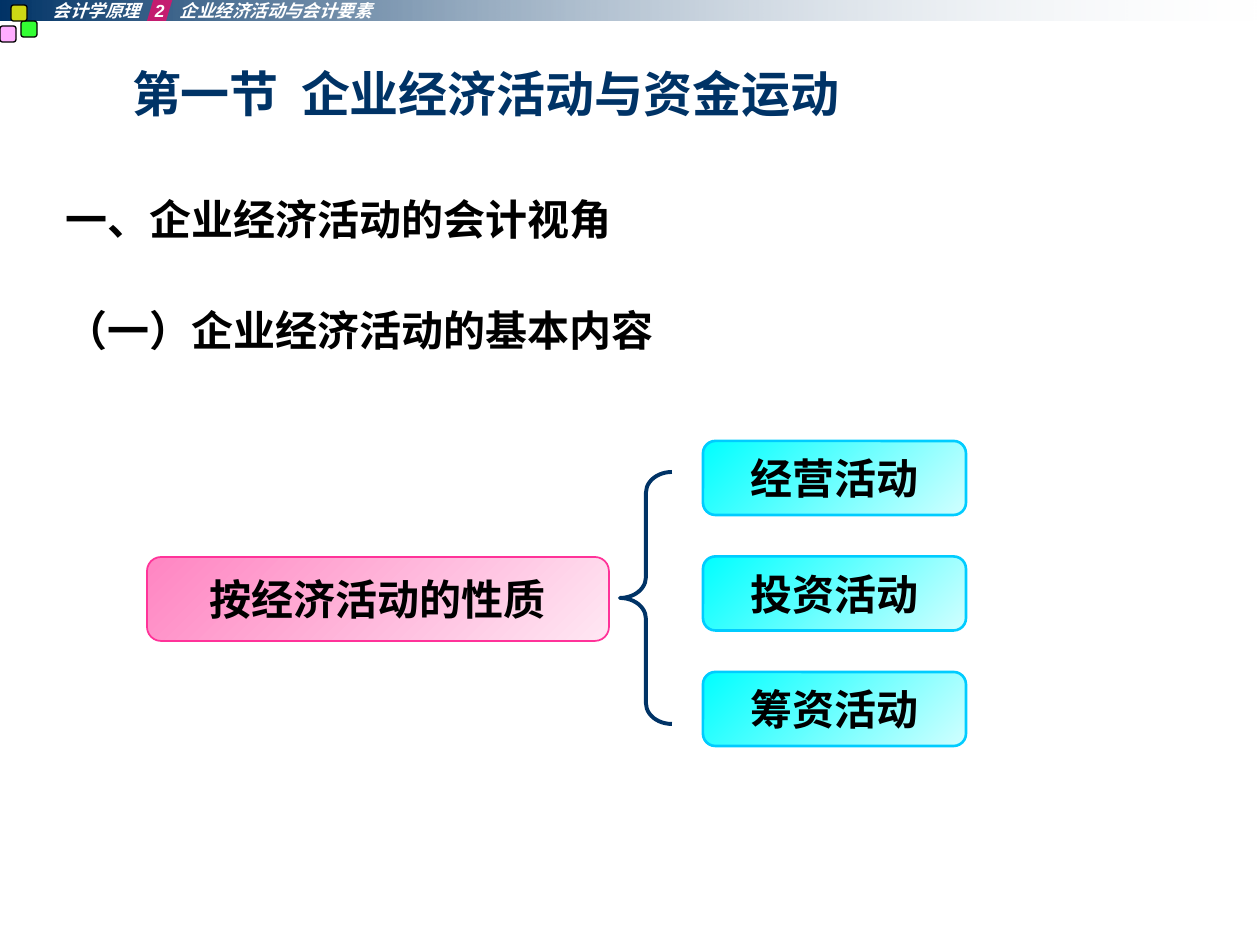
from pptx import Presentation
from pptx import util as u
from pptx.dml.color import RGBColor
from pptx.enum import shapes, text
from pptx.oxml.ns import qn
from lxml import etree

# Content
TITLE = "第一节\t企业经济活动与资金运动"
HEADINGS = ["一、企业经济活动的会计视角", "（一）企业经济活动的基本内容"]
RUNNING_HEAD = "会计学原理\t2\t企业经济活动与会计要素"
BASIS = "按经济活动的性质"
ACTIVITIES = ["经营活动", "投资活动", "筹资活动"]
SQUARES = [(0, 26, "pink"), (21, 21, "green"), (11, 5, "yellow")]

COLORS = {
    "navy": "003366", "mist": "E7ECF1", "black": "000000", "white": "FFFFFF",
    "pink": "FF99FF", "green": "00FF00", "yellow": "FFFF00", "magenta": "FF0066",
    "cyan": "00FFFF", "pale_cyan": "D1FFFF", "cyan_line": "00CCFF",
    "rose": "FF85C2", "pale_rose": "FFE7F3", "rose_line": "FF3399",
}
LATIN, CJK = "Arial", "Noto Sans CJK SC"
SCALE = u.Inches(1) / 126
KIND = shapes.MSO_SHAPE


def px(value):
    return u.Emu(round(value * SCALE))


def rgb(name):
    return RGBColor.from_string(COLORS[name])


def set_alpha(color_parent, percent):
    color = color_parent.find(".//" + qn("a:srgbClr"))
    etree.SubElement(color, qn("a:alpha"), val=str(percent * 1000))


def add_shape(kind, left, top, width, height, line=None, weight=1):
    shape = page.shapes.add_shape(kind, px(left), px(top), px(width), px(height))
    shape.shadow.inherit = False
    if line:
        shape.line.color.rgb = rgb(line)
        shape.line.width = u.Pt(weight)
    else:
        shape.line.fill.background()
    return shape


def fill_solid(shape, color, alpha):
    shape.fill.solid()
    shape.fill.fore_color.rgb = rgb(color)
    set_alpha(shape.fill._xPr.find(qn("a:solidFill")), alpha)


def fill_gradient(shape, colors, angle):
    shape.fill.gradient()
    shape.fill.gradient_angle = angle
    for stop, position, color in zip(shape.fill.gradient_stops, (0, 1), colors):
        stop.position = position
        stop.color.rgb = rgb(color)


def prepare_frame(shape, anchor, wrap=True):
    frame = shape.text_frame
    frame.margin_left = frame.margin_right = 0
    frame.margin_top = frame.margin_bottom = 0
    frame.vertical_anchor = anchor
    frame.auto_size = text.MSO_AUTO_SIZE.NONE
    frame.word_wrap = wrap
    return frame


def write(para, content, size, color, align=text.PP_ALIGN.LEFT, tabs=(),
          latin=LATIN, italic=False):
    para.alignment = align
    if tabs:
        tab_list = etree.SubElement(para._p.get_or_add_pPr(), qn("a:tabLst"))
        for stop in tabs:
            etree.SubElement(tab_list, qn("a:tab"), pos=str(px(stop)), algn="l")
    span = para.add_run()
    span.text = content
    font = span.font
    font.name, font.size, font.bold, font.italic = latin, u.Pt(size), True, italic
    font.color.rgb = rgb(color)
    east_asian = etree.Element(qn("a:ea"), typeface=CJK)
    span._r.rPr.find(qn("a:latin")).addnext(east_asian)


def add_label(content, left, top, width, height, colors, line, weight):
    box = add_shape(KIND.ROUNDED_RECTANGLE, left, top, width, height, line, weight)
    fill_gradient(box, colors, 315)
    frame = prepare_frame(box, text.MSO_ANCHOR.MIDDLE, wrap=False)
    write(frame.paragraphs[0], content, 24, "black", text.PP_ALIGN.CENTER)


deck = Presentation()
deck.slide_width, deck.slide_height = px(1260), px(945)
page = deck.slides.add_slide(deck.slide_layouts[5])

# Title
title = page.shapes.title
title.left, title.top, title.width, title.height = px(132), px(63), px(1000), px(72)
frame = prepare_frame(title, text.MSO_ANCHOR.TOP)
write(frame.paragraphs[0], TITLE, 28, "navy", tabs=[169], latin=CJK)

# Headings
box = page.shapes.add_textbox(px(66), px(193), px(1100), px(184))
frame = prepare_frame(box, text.MSO_ANCHOR.TOP)
for index, heading in enumerate(HEADINGS):
    para = frame.add_paragraph() if index else frame.paragraphs[0]
    if index:
        para.space_before = u.Pt(35)
    write(para, heading, 24, "black")

# Header band with squares and chapter marker
band = add_shape(KIND.RECTANGLE, 0, 0, 1260, 21)
fill_gradient(band, ("navy", "mist"), 0)
set_alpha(band.fill._xPr.findall(".//" + qn("a:gs"))[-1], 0)
for left, top, color in SQUARES:
    square = add_shape(KIND.ROUNDED_RECTANGLE, left, top, 16, 16, "black", 0.75)
    fill_solid(square, color, 80)
marker = add_shape(KIND.PARALLELOGRAM, 147, -2, 26, 23)
marker.adjustments[0] = 0.3
fill_solid(marker, "magenta", 70)
box = page.shapes.add_textbox(px(53), px(0), px(368), px(21))
frame = prepare_frame(box, text.MSO_ANCHOR.MIDDLE)
write(frame.paragraphs[0], RUNNING_HEAD, 10, "white", tabs=[102, 127], italic=True)

# Activities, evenly spaced between the first and last top edges
FIRST_TOP, LAST_TOP = 441, 672
pitch = (LAST_TOP - FIRST_TOP) / (len(ACTIVITIES) - 1)
for index, activity in enumerate(ACTIVITIES):
    add_label(activity, 703, FIRST_TOP + index * pitch, 263, 74,
              ("cyan", "pale_cyan"), "cyan_line", 1.5)

# Brace and classification basis
brace = add_shape(KIND.LEFT_BRACE, 620, 472, 52, 252, "navy", 2.25)
brace.adjustments[0] = 0.4
brace.fill.background()
add_label(BASIS, 147, 557, 462, 84, ("rose", "pale_rose"), "rose_line", 1)

deck.save("out.pptx")
